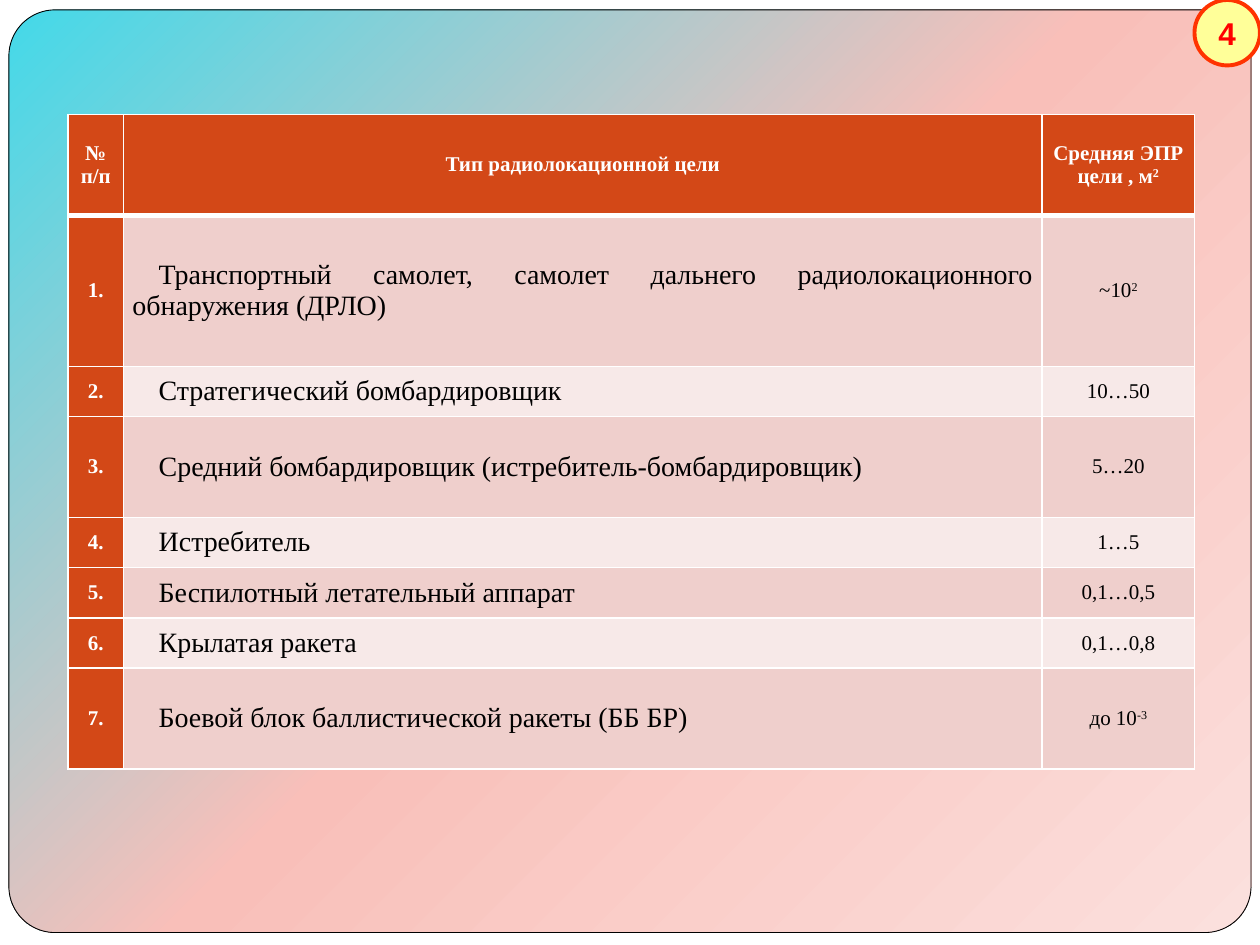
from copy import deepcopy

from lxml.etree import SubElement
from pptx import Presentation
from pptx.dml.color import RGBColor
from pptx.enum.shapes import MSO_SHAPE
from pptx.enum.text import MSO_ANCHOR, PP_ALIGN
from pptx.oxml.ns import qn
from pptx.util import Cm, Pt

WHITE = RGBColor(0xFF, 0xFF, 0xFF)
BLACK = RGBColor(0x00, 0x00, 0x00)
RED = RGBColor(0xFF, 0x00, 0x00)
SCARLET = RGBColor(0xFF, 0x33, 0x00)
YELLOW = RGBColor(0xFF, 0xFF, 0x99)
RUST = RGBColor(0xD3, 0x48, 0x17)
BANDS = (RGBColor(0xEF, 0xCF, 0xCC), RGBColor(0xF7, 0xE9, 0xE8))
GRADIENT = (
    (0, RGBColor(0x43, 0xD9, 0xE9)),
    (0.5, RGBColor(0xF9, 0xBF, 0xB9)),
    (1, RGBColor(0xFB, 0xE0, 0xDD)),
)

HEADER = ("№ п/п", "Тип радиолокационной цели", "Средняя ЭПР цели , м^2")
TARGETS = (
    ("Транспортный самолет, самолет дальнего радиолокационного обнаружения (ДРЛО)", "~10^2"),
    ("Стратегический бомбардировщик", "10…50"),
    ("Средний бомбардировщик (истребитель-бомбардировщик)", "5…20"),
    ("Истребитель", "1…5"),
    ("Беспилотный летательный аппарат", "0,1…0,5"),
    ("Крылатая ракета", "0,1…0,8"),
    ("Боевой блок баллистической ракеты (ББ БР)", "до 10^-3"),
)
COLUMN_WIDTHS = (1.12, 18.52, 3.07)
ROW_UNIT = 1.015
ROW_UNITS = (2, 3, 1, 2, 1, 1, 1, 2)

BADGE_FONT = {"name": "Arial", "size": Pt(18), "bold": True}
HEAD_FONT = {"name": "Times New Roman", "size": Pt(12), "bold": True}
VALUE_FONT = {**HEAD_FONT, "bold": False}
TARGET_FONT = {**VALUE_FONT, "size": Pt(16)}
CELL_FORMAT = {
    "margin_left": Cm(0.18),
    "margin_right": Cm(0.18),
    "margin_top": 0,
    "margin_bottom": 0,
    "vertical_anchor": MSO_ANCHOR.MIDDLE,
}


def apply(obj, values):
    for name, value in values.items():
        setattr(obj, name, value)


class SlideBuilder:
    def __init__(self, slide):
        self.s = slide

    def shape(self, kind, left, top, width, height, fill=None, line=None, weight=0):
        sp = self.s.shapes.add_shape(kind, Cm(left), Cm(top), Cm(width), Cm(height))
        sp.shadow.inherit = False
        if fill is not None:
            sp.fill.solid()
            sp.fill.fore_color.rgb = fill
        if line is None:
            sp.line.fill.background()
        else:
            sp.line.color.rgb = line
            sp.line.width = Pt(weight)
        return sp

    def gradient(self, sp):
        sp.fill.gradient()
        sp.fill.gradient_angle = 315
        stops = sp._element.spPr.find(".//" + qn("a:gsLst"))
        stops.insert(1, deepcopy(stops[0]))
        for stop, (position, color) in zip(sp.fill.gradient_stops, GRADIENT):
            stop.position = position
            stop.color.rgb = color

    def text(self, p, text, font, color, align=PP_ALIGN.CENTER):
        p.alignment = align
        for i, part in enumerate(text.split("^")):
            r = p.add_run()
            r.text = part
            apply(r.font, font)
            r.font.color.rgb = color
            if i:
                r._r.get_or_add_rPr().set("baseline", "30000")

    def badge(self, text, left, top, size):
        sp = self.shape(MSO_SHAPE.OVAL, left, top, size, size, YELLOW, SCARLET, 2.25)
        tf = sp.text_frame
        tf.word_wrap = False
        tf.vertical_anchor = MSO_ANCHOR.MIDDLE
        self.text(tf.paragraphs[0], text, BADGE_FONT, RED)

    def borders(self, cell, bottom):
        tcPr = cell._tc.get_or_add_tcPr()
        for side, weight in (("L", 1), ("R", 1), ("T", 1), ("B", bottom)):
            ln = SubElement(tcPr, qn("a:ln" + side), w=str(Pt(weight)))
            fill = SubElement(ln, qn("a:solidFill"))
            SubElement(fill, qn("a:srgbClr"), val=str(WHITE))

    def cell(self, cell, text, fill, font, color, align=PP_ALIGN.CENTER, indent=0, bottom=1):
        apply(cell, CELL_FORMAT)
        self.borders(cell, bottom)
        cell.fill.solid()
        cell.fill.fore_color.rgb = fill
        p = cell.text_frame.paragraphs[0]
        p.space_before = Pt(6)
        if indent:
            p._p.get_or_add_pPr().set("indent", str(Cm(indent)))
        self.text(p, text, font, color, align)

    def table(self, left, top):
        height = ROW_UNIT * sum(ROW_UNITS)
        tbl = self.s.shapes.add_table(
            len(ROW_UNITS), len(COLUMN_WIDTHS),
            Cm(left), Cm(top), Cm(sum(COLUMN_WIDTHS)), Cm(height),
        ).table
        for column, width in zip(tbl.columns, COLUMN_WIDTHS):
            column.width = Cm(width)
        for row, units in zip(tbl.rows, ROW_UNITS):
            row.height = Cm(ROW_UNIT * units)
        for c, title in enumerate(HEADER):
            self.cell(tbl.cell(0, c), title, RUST, HEAD_FONT, WHITE, bottom=3)
        for n, (target, area) in enumerate(TARGETS, 1):
            band = BANDS[(n - 1) % 2]
            self.cell(tbl.cell(n, 0), f"{n}.", RUST, HEAD_FONT, WHITE)
            self.cell(tbl.cell(n, 1), target, band, TARGET_FONT, BLACK, PP_ALIGN.JUSTIFY, 0.53)
            self.cell(tbl.cell(n, 2), area, band, VALUE_FONT, BLACK)


def main():
    prs = Presentation()
    prs.slide_width, prs.slide_height = Cm(25.4), Cm(19.05)
    b = SlideBuilder(prs.slides.add_slide(prs.slide_layouts[6]))
    b.shape(MSO_SHAPE.RECTANGLE, 0, 0, 25.4, 19.05, WHITE)
    panel = b.shape(MSO_SHAPE.ROUNDED_RECTANGLE, 0.18, 0.2, 25.04, 18.6, line=BLACK, weight=0.5)
    panel.adjustments[0] = 0.05
    b.gradient(panel)
    b.badge("4", 24.08, 0, 1.32)
    b.table(1.37, 2.31)
    prs.save("out.pptx")


if __name__ == "__main__":
    main()
